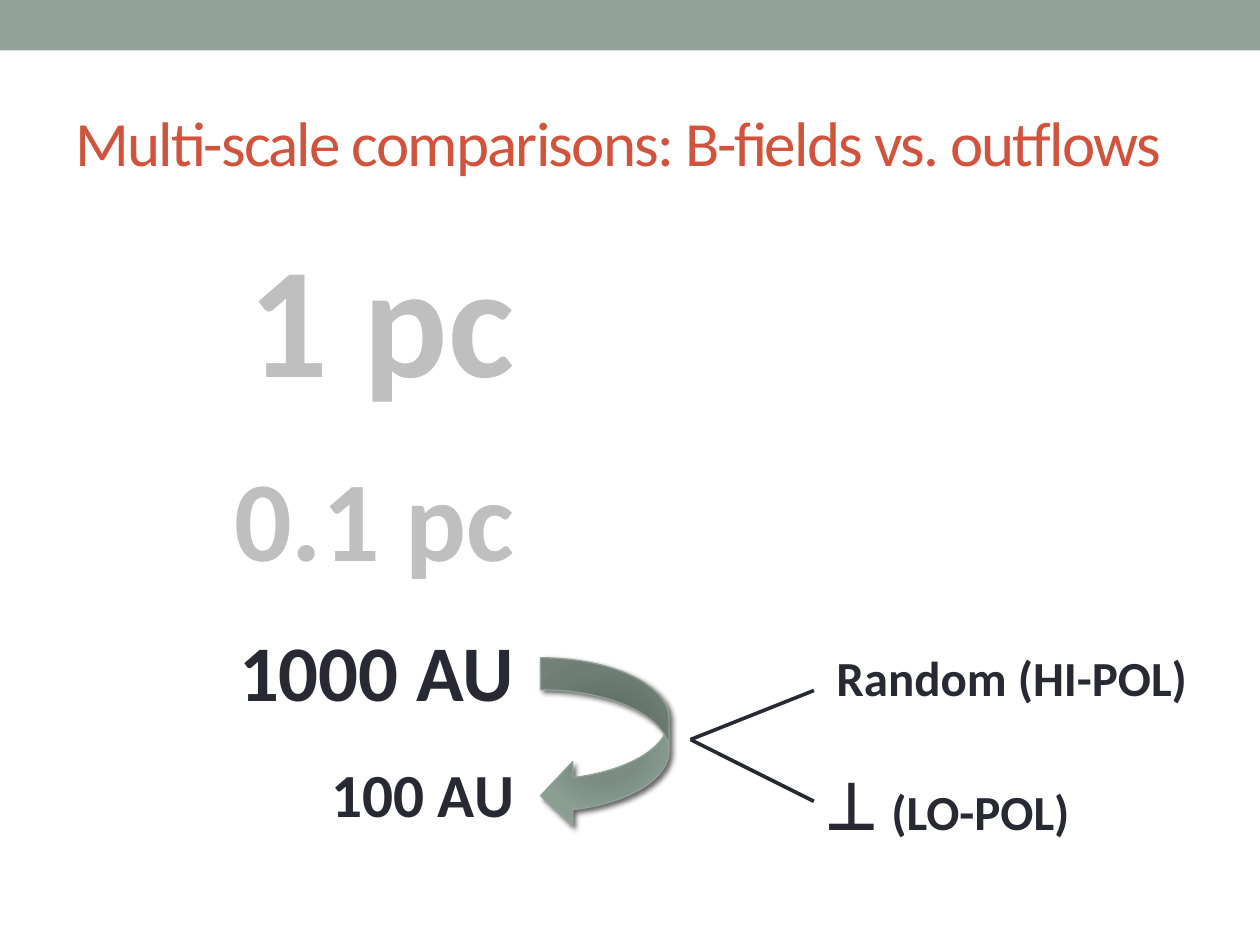
from pptx import Presentation
from pptx.dml.color import RGBColor
from pptx.enum.shapes import MSO_CONNECTOR, MSO_SHAPE
from pptx.enum.text import MSO_ANCHOR, MSO_AUTO_SIZE, PP_ALIGN
from pptx.oxml import parse_xml
from pptx.oxml.ns import nsdecls, qn
from pptx.util import Inches, Pt

RECT, ARROW = MSO_SHAPE.RECTANGLE, MSO_SHAPE.CURVED_LEFT_ARROW
STRAIGHT = MSO_CONNECTOR.STRAIGHT
LEFT, RIGHT = PP_ALIGN.LEFT, PP_ALIGN.RIGHT
TOP, MIDDLE = MSO_ANCHOR.TOP, MSO_ANCHOR.MIDDLE
FIT_SHAPE = MSO_AUTO_SIZE.SHAPE_TO_FIT_TEXT
SAGE, RUST, GRAY, INK = "93A299", "D2533C", "BFBFBF", "292934"


def rgb(value):
    return RGBColor.from_string(value)


def add_text(box, paragraphs, align=LEFT, anchor=TOP, wrap=True, bold=True, gap=0):
    tf = s.shapes.add_textbox(*map(Inches, box)).text_frame
    frame_format = {"word_wrap": wrap, "vertical_anchor": anchor}
    if anchor == TOP:
        frame_format["auto_size"] = FIT_SHAPE
    for name, value in frame_format.items():
        setattr(tf, name, value)
    for i, runs in enumerate(paragraphs):
        p = tf.add_paragraph() if i else tf.paragraphs[0]
        p.alignment = align
        if i:
            p.space_before = Pt(gap)
        for text, size, color in runs:
            r = p.add_run()
            r.text = text
            for name, value in {"name": "Calibri", "size": Pt(size), "bold": bold}.items():
                setattr(r.font, name, value)
            r.font.color.rgb = rgb(color)
    return tf


prs = Presentation()
prs.slide_width, prs.slide_height = Inches(10), Inches(7.5)
s = prs.slides.add_slide(prs.slide_layouts[6])

band = s.shapes.add_shape(RECT, 0, 0, prs.slide_width, Inches(0.4))
band.shadow.inherit = False
band.fill.solid()
band.fill.fore_color.rgb = rgb(SAGE)
band.line.fill.background()

title = add_text((0.5, 0.58, 9, 1.08),
                 [[("Multi-scale comparisons: B-fields vs. outflows", 36, RUST)]],
                 anchor=MIDDLE, bold=False)
title.paragraphs[0].runs[0].font._element.set("spc", "-100")

scales = [("1 pc", 90, GRAY), ("0.1 pc", 65, GRAY), ("1000 AU", 45, INK), ("100 AU", 35, INK)]
add_text((1.24, 1.7, 2.94, 4.96), [[scale] for scale in scales], align=RIGHT, gap=22)

arrow = s.shapes.add_shape(ARROW, Inches(4.29), Inches(5.22), Inches(1.02), Inches(1.35))
arrow.shadow.inherit = False
arrow.line.color.rgb = rgb(SAGE)
arrow.line.width = Pt(0.75)
arrow.fill.gradient()
stops = "".join(
    f'<a:gs pos="{pos * 1000}"><a:srgbClr val="{color}"/></a:gs>'
    for pos, color in [(0, "7B8E82"), (34, "7B8D83"), (70, "8A9E92"), (100, SAGE)])
gradient = parse_xml(
    f'<a:gradFill {nsdecls("a")} rotWithShape="1"><a:gsLst>{stops}</a:gsLst>'
    '<a:path path="circle"><a:fillToRect l="100000" t="100000" r="100000" b="100000"/>'
    '</a:path></a:gradFill>')
sp_pr = arrow._element.spPr
sp_pr.replace(sp_pr.find(qn("a:gradFill")), gradient)
sp_pr.find(qn("a:effectLst")).append(parse_xml(
    f'<a:outerShdw {nsdecls("a")} blurRad="{Pt(3)}" dist="{Pt(2)}" dir="{45 * 60000}" '
    'rotWithShape="0"><a:srgbClr val="000000"><a:alpha val="60000"/></a:srgbClr></a:outerShdw>'))

add_text((6.54, 5.09, 4.06, 0.66), [[("Random (HI-POL)", 28, INK)]])
add_text((6.48, 5.99, 2.61, 0.77), [[("⟂ ", 40, INK), ("(LO-POL)", 28, INK)]], wrap=False)

for end_y in (5.48, 6.36):
    branch = s.shapes.add_connector(STRAIGHT, *map(Inches, (5.48, 5.87, 6.46, end_y)))
    branch.line.color.rgb = rgb(INK)
    branch.line.width = Pt(2.08)
    branch._element.spPr.append(parse_xml(f'<a:effectLst {nsdecls("a")}/>'))

prs.save("out.pptx")
